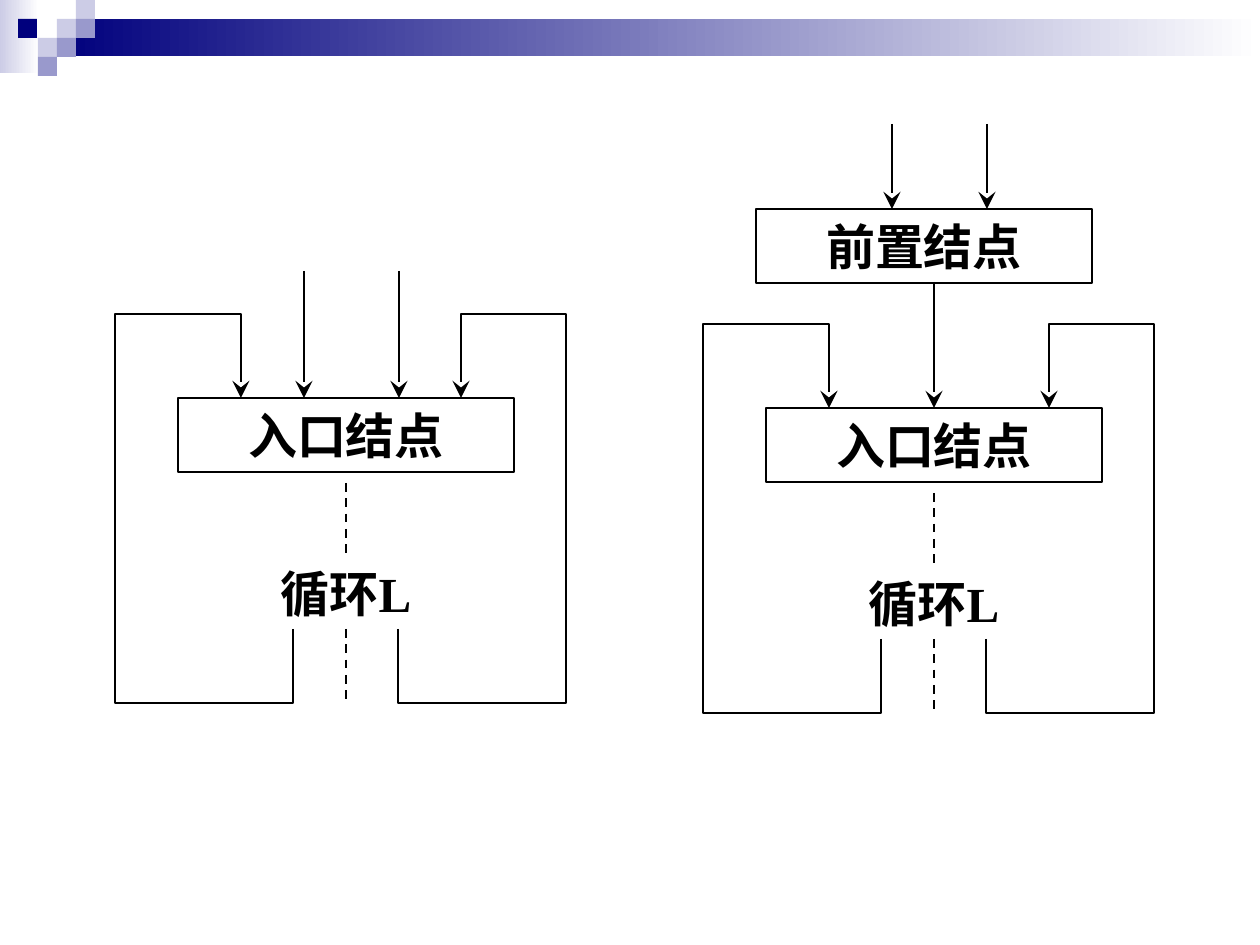
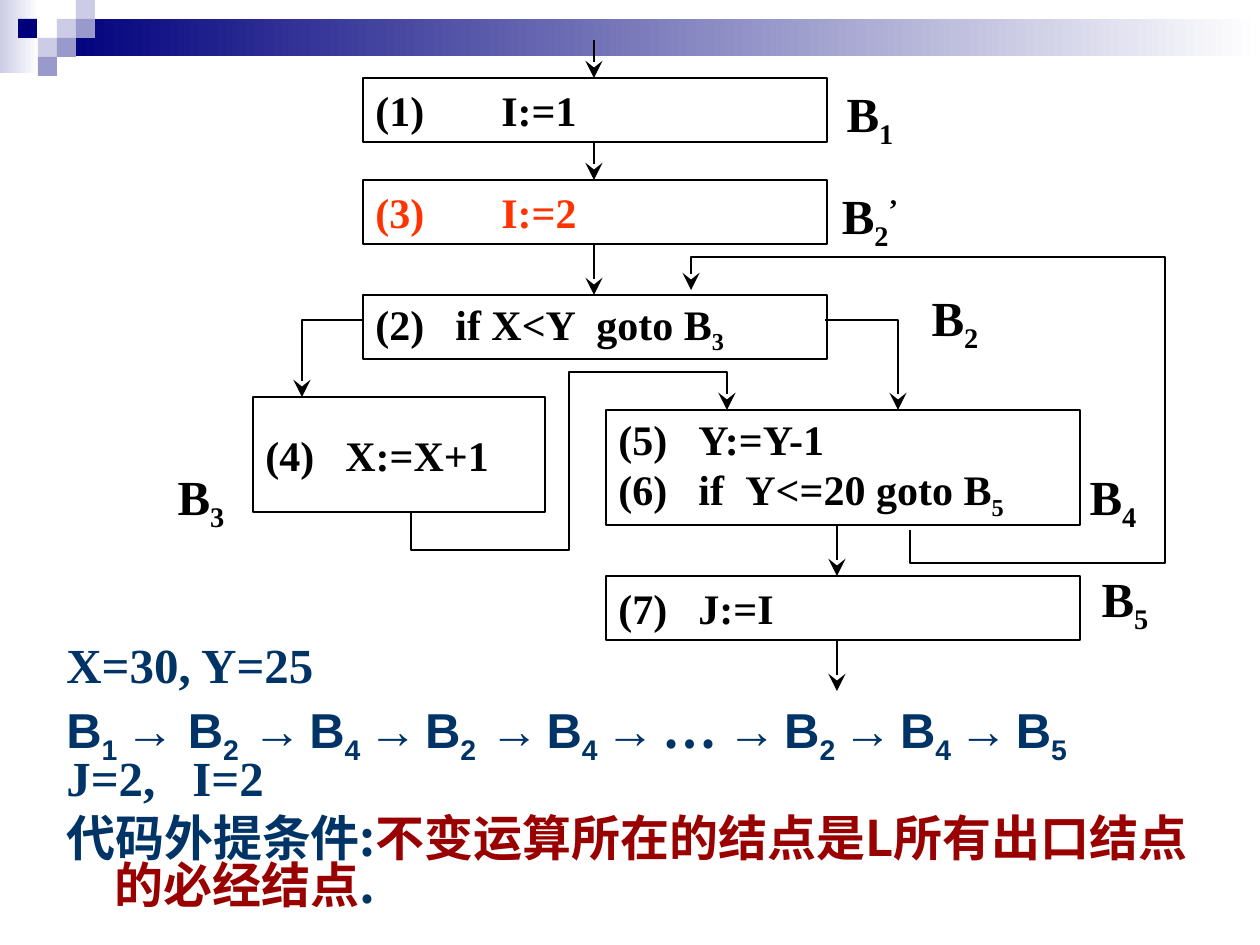
from pptx import Presentation
from pptx import util as u
from pptx.dml.color import RGBColor
from pptx.enum import dml, shapes, text
from pptx.oxml.ns import qn
from lxml import etree

PX = 914400 / 126
SERIF, SANS, CJK = "Times New Roman", "Arial", "Noto Sans CJK SC"
COLOURS = {"navy": "00007D", "lilac": "CCCCE6", "violet": "9999CC", "white": "FFFFFF",
           "ink": "000000", "moved": "FF3300", "note": "003366", "rule": "990000"}

# Header: left, top, width, height, colour, colour faded to
HEADER_BANDS = [(0, 0, 39, 73, "lilac", "white"), (57, 19, 1203, 37, "navy", "white")]
TILE = 19
HEADER_TILES = [(57, 19, "lilac"), (76, 0, "lilac"), (76, 19, "violet"), (38, 38, "lilac"),
                (18, 19, "navy"), (57, 38, "violet"), (38, 57, "violet")]

# Loop diagram, relative to the top left corner of its back edge
NODE_SIZE = (336, 74)
LOOP_ENTRY = (63, 84)
LOOP_BODY = (63, 242)
BACK_EDGES = [
    [(178, 315), (178, 389), (0, 389), (0, 0), (126, 0), (126, 84)],
    [(283, 315), (283, 389), (451, 389), (451, 0), (346, 0), (346, 84)],
]
LOOP_DASHES = [[(231, 169), (231, 242)], [(231, 315), (231, 389)]]
LOOP_BEFORE, LOOP_AFTER = (115, 314), (703, 324)
PREHEADER = (756, 209)
ENTRIES_BEFORE = [[(x, 271), (x, 398)] for x in (304, 399)]
ENTRIES_AFTER = [[(x, 124), (x, 209)] for x in (892, 987)] + [[(934, 282), (934, 408)]]

# Flow graph; _x_ is a subscript and ^x^ a superscript
# Left, top, width, height, colour, tab stops, lines
BLOCKS = [
    (363, 78, 464, 64, "ink", [126], ["(1)\tI:=1"]),
    (363, 180, 464, 64, "moved", [126], ["(3)\tI:=2"]),
    (363, 295, 464, 64, "ink", [80, 221], ["(2)\tif X<Y\tgoto B_3_"]),
    (253, 397, 292, 115, "ink", [80], ["(4)\tX:=X+1"]),
    (606, 410, 474, 115, "ink", [80, 127], ["(5)\tY:=Y-1", "(6)\tif\tY<=20 goto B_5_"]),
    (606, 576, 474, 64, "ink", [80], ["(7)\tJ:=I"]),
]
LABEL_SIZE = (66, 77)
BLOCK_LABELS = [(837, 78, "B_1_"), (837, 180, "B_2_^’^"), (922, 282, "B_2_"),
                (168, 461, "B_3_"), (1080, 461, "B_4_"), (1092, 563, "B_5_")]
FLOW_EDGES = [
    [(594, 40), (594, 78)],
    [(594, 142), (594, 180)],
    [(594, 244), (594, 295)],
    [(837, 525), (837, 576)],
    [(837, 640), (837, 691)],
    [(363, 320), (302, 320), (302, 397)],
    [(825, 320), (898, 320), (898, 410)],
    [(910, 530), (910, 563), (1165, 563), (1165, 257), (691, 257), (691, 290)],
    [(411, 512), (411, 550), (569, 550), (569, 372), (727, 372), (727, 410)],
]
NOTES_BOX = (54, 640, 1160, 278)
# Space before in points, hanging indent, tab stops, segments of (text, font, colour)
NOTES = [
    (0, 0, [], [("X=30, Y=25", SERIF, "note")]),
    (7, 0, [], [("B_1 _→ B_2_ →_ _B_4 _→_ _B_2_ →_ _B_4 _→_ _", SANS, "note"),
                ("… ", CJK, "note"),
                ("→_ _B_2 _→_ _B_4 _→_ _B_5_", SANS, "note")]),
    (0, 0, [126], [("J=2,\tI=2", SERIF, "note")]),
    (7, 48, [], [("代码外提条件:", CJK, "note"),
                 ("不变运算所在的结点是L所有出口结点的必经结点", CJK, "rule"), (".", CJK, "note")]),
]


def px(length):
    return u.Emu(round(length * PX))


def colour(name):
    return RGBColor.from_string(COLOURS[name])


def split_scripts(marked):
    """Yield (text, baseline) pieces of a string marked with _sub_ and ^super^."""
    for i, part in enumerate(marked.split("_")):
        for j, piece in enumerate(part.split("^")):
            if piece:
                yield piece, -25000 if i % 2 else 30000 if j % 2 else 0


def add_runs(paragraph, marked, size, font, colour_name):
    for piece, baseline in split_scripts(marked):
        run = paragraph.add_run()
        run.text = piece
        run.font.size, run.font.bold, run.font.name = u.Pt(size), True, font
        run.font.color.rgb = colour(colour_name)
        properties = run._r.get_or_add_rPr()
        etree.SubElement(properties, qn("a:ea")).set("typeface", CJK)
        if baseline:
            properties.set("baseline", str(baseline))


def set_tabs(paragraph, stops):
    if stops:
        tabs = etree.SubElement(paragraph._p.get_or_add_pPr(), qn("a:tabLst"))
        for stop in stops:
            etree.SubElement(tabs, qn("a:tab"), pos=str(px(stop)), algn="l")


def add_rectangle(slide, left, top, width, height):
    shape = slide.shapes.add_shape(shapes.MSO_SHAPE.RECTANGLE, *map(px, (left, top, width, height)))
    shape.shadow.inherit = False
    return shape


def add_outline(slide, *place):
    shape = add_rectangle(slide, *place)
    shape.fill.background()
    shape.line.color.rgb = colour("ink")
    shape.line.width = u.Pt(1)
    return shape


def write_centred(shape, marked):
    frame = shape.text_frame
    frame.word_wrap = False
    frame.margin_left = frame.margin_right = 0
    frame.vertical_anchor = text.MSO_ANCHOR.MIDDLE
    paragraph = frame.paragraphs[0]
    paragraph.alignment = text.PP_ALIGN.CENTER
    add_runs(paragraph, marked, 28, SERIF, "ink")


def add_label(slide, place, marked):
    write_centred(slide.shapes.add_textbox(*map(px, place)), marked)


def add_route(slide, points, arrow=True):
    """Draw a line through the points, ending in an arrowhead or else dashed."""
    if len(points) == 2:
        ends = [px(value) for point in points for value in point]
        route = slide.shapes.add_connector(shapes.MSO_CONNECTOR.STRAIGHT, *ends)
    else:
        builder = slide.shapes.build_freeform(*points[0], scale=PX)
        builder.add_line_segments(points[1:], close=False)
        route = builder.convert_to_shape()
        route.fill.background()
    route.line.color.rgb = colour("ink")
    route.line.width = u.Pt(1.25)
    if arrow:
        line = route.element.spPr.find(qn("a:ln"))
        etree.SubElement(line, qn("a:tailEnd"), type="stealth", w="lg", len="lg")
    else:
        route.line.dash_style = dml.MSO_LINE.DASH
    etree.SubElement(route.element.spPr, qn("a:effectLst"))


def add_header(slide, layout):
    """Build the header and move it to the layout, so that every slide shows it."""
    for placeholder in list(layout.placeholders):
        layout.shapes.element.remove(placeholder.element)
    parts = []
    for *place, start, end in HEADER_BANDS:
        band = add_rectangle(slide, *place)
        band.fill.gradient()
        band.fill.gradient_angle = 0
        for stop, name in zip(band.fill.gradient_stops, (start, end)):
            stop.color.rgb = colour(name)
        parts.append(band)
    for left, top, name in HEADER_TILES:
        tile = add_rectangle(slide, left, top, TILE, TILE)
        tile.fill.solid()
        tile.fill.fore_color.rgb = colour(name)
        parts.append(tile)
    for part in parts:
        part.line.fill.background()
        layout.shapes.element.append(part.element)


def add_node(slide, place, name):
    write_centred(add_outline(slide, *place, *NODE_SIZE), name)


def add_loop(slide, origin):
    def shift(point):
        return point[0] + origin[0], point[1] + origin[1]

    add_node(slide, shift(LOOP_ENTRY), "入口结点")
    add_label(slide, (*shift(LOOP_BODY), *NODE_SIZE), "循环L")
    for edge in BACK_EDGES:
        add_route(slide, [shift(point) for point in edge])
    for dash in LOOP_DASHES:
        add_route(slide, [shift(point) for point in dash], arrow=False)


def build_preheader_slide(slide):
    add_loop(slide, LOOP_BEFORE)
    add_loop(slide, LOOP_AFTER)
    add_node(slide, PREHEADER, "前置结点")
    for edge in ENTRIES_BEFORE + ENTRIES_AFTER:
        add_route(slide, edge)


def add_block(slide, place, colour_name, stops, lines):
    frame = add_outline(slide, *place).text_frame
    frame.word_wrap = True
    frame.vertical_anchor = text.MSO_ANCHOR.MIDDLE
    for i, line in enumerate(lines):
        paragraph = frame.add_paragraph() if i else frame.paragraphs[0]
        paragraph.alignment = text.PP_ALIGN.LEFT
        set_tabs(paragraph, stops)
        add_runs(paragraph, line, 24, SERIF, colour_name)


def add_notes(slide):
    frame = slide.shapes.add_textbox(*map(px, NOTES_BOX)).text_frame
    frame.word_wrap = True
    for i, (before, hanging, stops, segments) in enumerate(NOTES):
        paragraph = frame.add_paragraph() if i else frame.paragraphs[0]
        paragraph.line_spacing = 0.8
        paragraph.space_before = u.Pt(before)
        properties = paragraph._p.get_or_add_pPr()
        properties.set("marL", str(px(hanging)))
        properties.set("indent", str(-px(hanging)))
        set_tabs(paragraph, stops)
        for marked, font, colour_name in segments:
            add_runs(paragraph, marked, 28, font, colour_name)


def build_flow_slide(slide):
    for *place, colour_name, stops, lines in BLOCKS:
        add_block(slide, place, colour_name, stops, lines)
    for left, top, marked in BLOCK_LABELS:
        add_label(slide, (left, top, *LABEL_SIZE), marked)
    for edge in FLOW_EDGES:
        add_route(slide, edge)
    add_notes(slide)


def main():
    presentation = Presentation()
    presentation.slide_width, presentation.slide_height = px(1260), px(945)
    blank = presentation.slide_layouts[6]
    first = presentation.slides.add_slide(blank)
    add_header(first, blank)
    build_preheader_slide(first)
    build_flow_slide(presentation.slides.add_slide(blank))
    presentation.save("out.pptx")


if __name__ == "__main__":
    main()
